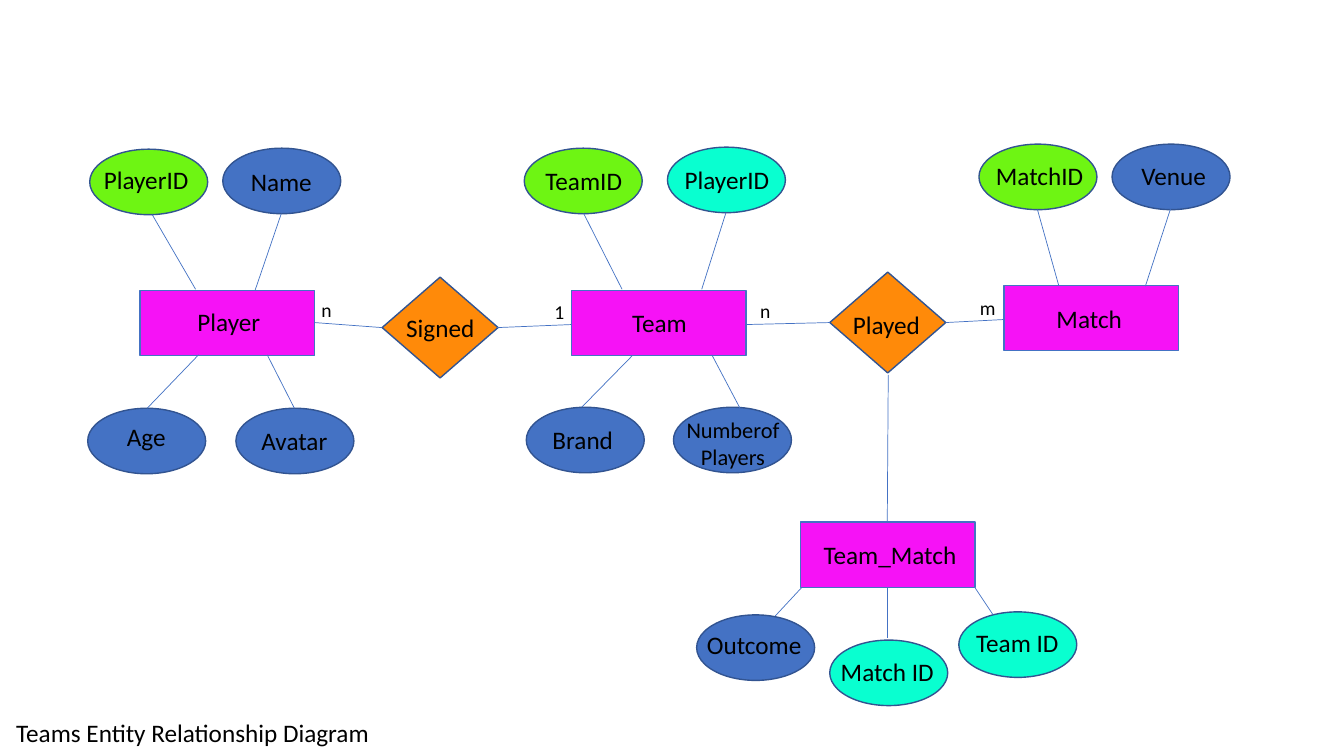
"""Build the Teams entity relationship diagram slide."""
from lxml import etree
from pptx import Presentation
from pptx.dml.color import RGBColor
from pptx.enum.shapes import MSO_CONNECTOR, MSO_SHAPE
from pptx.enum.text import PP_ALIGN
from pptx.oxml.ns import qn
from pptx.util import Inches, Pt

CELL = Inches(0.1)
RECTANGLE, DIAMOND, OVAL = MSO_SHAPE.RECTANGLE, MSO_SHAPE.DIAMOND, MSO_SHAPE.OVAL
STRAIGHT = MSO_CONNECTOR.STRAIGHT
LEFT, CENTER = PP_ALIGN.LEFT, PP_ALIGN.CENTER
BLUE, NAVY = "4472C4", "325491"

deck = Presentation()
deck.slide_width, deck.slide_height = Inches(13.33), Inches(7.5)
page = deck.slides.add_slide(deck.slide_layouts[6])


def color(target, hex_code):
    """Set a fill or font colour from a hex string."""
    if hasattr(target, "solid"):
        target.solid()
        target.fore_color.rgb = RGBColor.from_string(hex_code)
    else:
        target.color.rgb = RGBColor.from_string(hex_code)


def write(words, column, row, width, height=4, size=18, align=CENTER):
    """Place a text box on the grid, one paragraph for each line."""
    box = page.shapes.add_textbox(*(int(n * CELL) for n in (column, row, width, height)))
    box.text_frame.word_wrap = True
    box.text_frame.text = words
    for para in box.text_frame.paragraphs:
        para.alignment = align
        para.font.name, para.font.size = "Calibri", Pt(size)
        color(para.font, "000000")


# kind: shape, width, height, fill, outline, label alignment
kinds = {
    "entity": (RECTANGLE, 17.3, 6.5, "F612F6", BLUE, LEFT),
    "relation": (DIAMOND, 11.5, 10, "FF8A09", NAVY, LEFT),
    "key": (OVAL, 11.7, 6.5, "6EF513", NAVY, CENTER),
    "foreign key": (OVAL, 11.7, 6.5, "09FFD0", NAVY, CENTER),
    "attribute": (OVAL, 11.7, 6.5, BLUE, NAVY, CENTER),
}
# kind, column, row, label, label column, label row, label width
nodes = [
    ("entity", 13.9, 28.8, "Player", 18.6, 29.9, 9.5),
    ("entity", 56.7, 28.8, "Team", 61.7, 30, 10.8),
    ("entity", 99.6, 28.3, "Match", 103.8, 29.6, 10.1),
    ("entity", 79.4, 51.8, "Team_Match", 80.7, 53, 15.5),
    ("relation", 37.9, 27.5, "Signed", 39.3, 30.5, 9.4),
    ("relation", 82.3, 27, "Played", 83.6, 30.2, 9.4),
    ("key", 8.9, 14.8, "PlayerID", 7.8, 15.8, 13.4),
    ("attribute", 22.1, 14.7, "Name", 21.2, 16, 13.4),
    ("attribute", 8.7, 40.5, "Age", 7.8, 41.3, 13.4),
    ("attribute", 23.4, 40.5, "Avatar", 22.5, 41.7, 13.4),
    ("key", 52, 14.7, "TeamID", 51.2, 15.9, 13.4),
    ("foreign key", 66.2, 14.6, "PlayerID", 65.4, 15.8, 13.4),
    ("attribute", 52.2, 40.4, "Brand", 51.1, 41.6, 13.4),
    ("attribute", 66.8, 40.4, "Numberof\nPlayers", 66, 40.8, 13.4),
    ("key", 97.1, 14.3, "MatchID", 95.9, 15.4, 14.4),
    ("attribute", 110.3, 14.3, "Venue", 109.7, 15.4, 13.4),
    ("attribute", 69.1, 61, "Outcome", 68.1, 61.9, 13.4),
    ("foreign key", 82.3, 63.5, "Match ID", 81.3, 64.6, 13.4),
    ("foreign key", 95.1, 60.7, "Team ID", 94.2, 61.7, 13.4),
]
for kind, column, row, label, label_column, label_row, label_width in nodes:
    preset, width, height, fill, outline, align = kinds[kind]
    node = page.shapes.add_shape(preset, *(int(n * CELL) for n in (column, row, width, height)))
    node.shadow.inherit = False
    color(node.fill, fill)
    color(node.line, outline)
    node.line.width = Pt(1)
    height, size = (6.4, 16) if "\n" in label else (4, 18)
    write(label, label_column, label_row, label_width, height, size, align)

# start column, start row, end column, end row
links = [
    (15.1, 21.3, 19.4, 28.7), (27.9, 21.2, 25.3, 28.8),
    (19.7, 35.2, 14.6, 40.5), (26.5, 35.2, 29.2, 40.5),
    (57.9, 21.2, 61.7, 28.7), (72, 21.1, 69.6, 28.7),
    (62.7, 35.3, 57.7, 40.4), (70.6, 35.2, 73.4, 40.5),
    (102.9, 20.8, 105, 28.3), (116.1, 20.7, 113.6, 28.4),
    (31.2, 32, 37.9, 32.5), (49.3, 32.5, 56.7, 32.2),
    (74, 32.2, 82.3, 32), (93.8, 32, 99.6, 31.7),
    (88.1, 37.2, 88, 51.8), (88, 58.3, 88, 63.3),
    (79.5, 58.3, 76.9, 61.1), (96.7, 58.3, 98.5, 61),
]
for ends in links:
    link = page.shapes.add_connector(STRAIGHT, *(int(n * CELL) for n in ends))
    color(link.line, BLUE)
    link.line.width = Pt(0.5)
    etree.SubElement(link._element.spPr, qn("a:effectLst"))

for count, column, row in [("n", 30.9, 29.1), ("1", 54, 29.3), ("n", 74.4, 29.2), ("m", 96.2, 28.9)]:
    write(count, column, row, 3.4, 3.4, 14, LEFT)

write("Teams Entity Relationship Diagram", 0.5, 70.7, 37.2)

deck.save("out.pptx")
